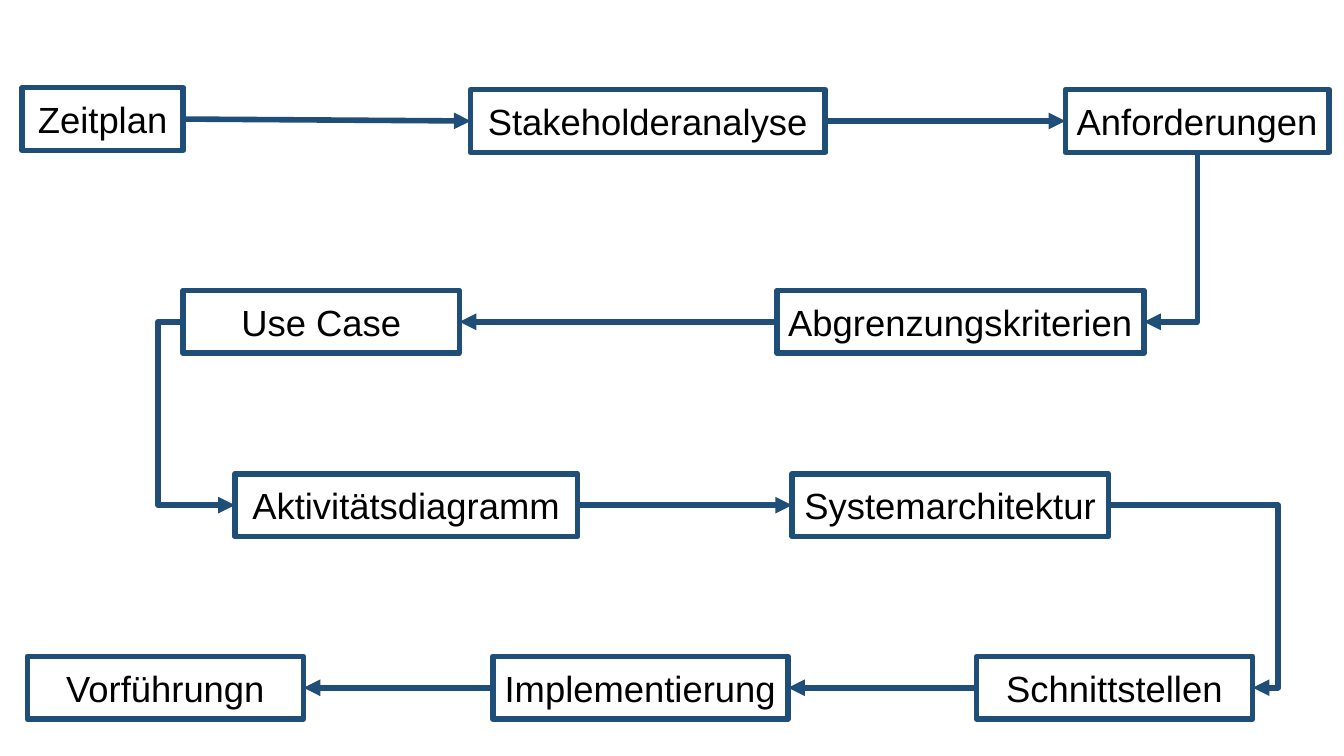
from dataclasses import dataclass
from itertools import pairwise

from lxml.etree import SubElement
from pptx import Presentation
from pptx.dml.color import RGBColor
from pptx.enum.shapes import MSO_CONNECTOR as Line, MSO_SHAPE as Shape
from pptx.enum.text import MSO_ANCHOR as Anchor, PP_ALIGN as Align
from pptx.oxml.ns import qn
from pptx.util import Cm, Pt


@dataclass(frozen=True)
class Theme:
    font: str = "Arial"
    label_size: float = 26
    line_width: float = 4
    ink: RGBColor = RGBColor(0x00, 0x00, 0x00)
    paper: RGBColor = RGBColor(0xFF, 0xFF, 0xFF)
    accent: RGBColor = RGBColor(0x1F, 0x4E, 0x79)


THEME = Theme()
STEP_HEIGHT = 1.58
LANE_GAP = Cm(0.64)

# Connection sites of a rectangle
LEFT, BOTTOM, RIGHT = 1, 2, 3

# Steps in process order: label, left, top, width in cm
STEPS = [
    ("Zeitplan", 0.56, 2.21, 4.06),
    ("Stakeholderanalyse", 11.86, 2.26, 8.94),
    ("Anforderungen", 26.85, 2.26, 6.65),
    ("Abgrenzungskriterien", 19.58, 7.32, 9.25),
    ("Use Case", 4.62, 7.32, 6.96),
    ("Aktivitätsdiagramm", 5.92, 11.94, 8.64),
    ("Systemarchitektur", 19.96, 11.94, 7.98),
    ("Schnittstellen", 24.61, 16.54, 6.96),
    ("Implementierung", 12.42, 16.54, 7.44),
    ("Vorführungn", 0.69, 16.54, 6.96),
]


def write(frame, text, *, size=THEME.label_size, color=THEME.ink, align=Align.CENTER):
    frame.word_wrap = False
    frame.vertical_anchor = Anchor.MIDDLE
    paragraph = frame.paragraphs[0]
    paragraph.alignment = align
    run = paragraph.add_run()
    run.text = text
    run.font.name = THEME.font
    run.font.size = Pt(size)
    run.font.color.rgb = color


def style_line(line):
    line.color.rgb = THEME.accent
    line.width = Pt(THEME.line_width)


def add_step(slide, label, left, top, width):
    step = slide.shapes.add_shape(
        Shape.RECTANGLE, Cm(left), Cm(top), Cm(width), Cm(STEP_HEIGHT))
    step.shadow.inherit = False
    step.fill.solid()
    step.fill.fore_color.rgb = THEME.paper
    style_line(step.line)
    write(step.text_frame, label)
    return step


def add_arrow(slide, source, source_site, target, target_site, kind=Line.STRAIGHT):
    arrow = slide.shapes.add_connector(kind, 0, 0, 0, 0)
    arrow.begin_connect(source, source_site)
    arrow.end_connect(target, target_site)
    style_line(arrow.line)
    SubElement(arrow.line._get_or_add_ln(), qn("a:tailEnd"), type="triangle")
    SubElement(arrow._element.spPr, qn("a:effectLst"))
    return arrow


def add_side_loop(slide, source, target, side):
    """Lead from one side of a step to the same side of the step below."""
    arrow = add_arrow(slide, source, side, target, side, Line.ELBOW)
    ends = arrow.begin_x, arrow.end_x
    lane = min(ends) - LANE_GAP if side == LEFT else max(ends) + LANE_GAP
    bend = round(100000 * (lane - arrow.begin_x) / (arrow.end_x - arrow.begin_x))
    adjustments = arrow._element.spPr.find(qn("a:prstGeom")).get_or_add_avLst()
    SubElement(adjustments, qn("a:gd"), name="adj1", fmla=f"val {bend}")


def add_corner(slide, source, target):
    """Lead down from a step, then left into the right side of the next."""
    arrow = add_arrow(slide, source, BOTTOM, target, RIGHT, Line.ELBOW)
    across, down = arrow.width, arrow.height
    center_x = arrow.left + across // 2
    center_y = arrow.top + down // 2
    properties = arrow._element.spPr
    properties.find(qn("a:prstGeom")).set("prst", "bentConnector2")
    properties.xfrm.flipH = False
    properties.xfrm.set("rot", str(90 * 60000))
    arrow.left, arrow.top = center_x - down // 2, center_y - across // 2
    arrow.width, arrow.height = down, across


def main():
    deck = Presentation()
    deck.slide_width, deck.slide_height = Cm(33.87), Cm(19.05)
    slide = deck.slides.add_slide(deck.slide_layouts[6])
    steps = {label: add_step(slide, label, *place) for label, *place in STEPS}

    for (start, source), (_, target) in pairwise(steps.items()):
        if start == "Anforderungen":
            add_corner(slide, source, target)
        elif start == "Use Case":
            add_side_loop(slide, source, target, LEFT)
        elif start == "Systemarchitektur":
            add_side_loop(slide, source, target, RIGHT)
        elif source.left < target.left:
            add_arrow(slide, source, RIGHT, target, LEFT)
        else:
            add_arrow(slide, source, LEFT, target, RIGHT)

    deck.save("out.pptx")


if __name__ == "__main__":
    main()
